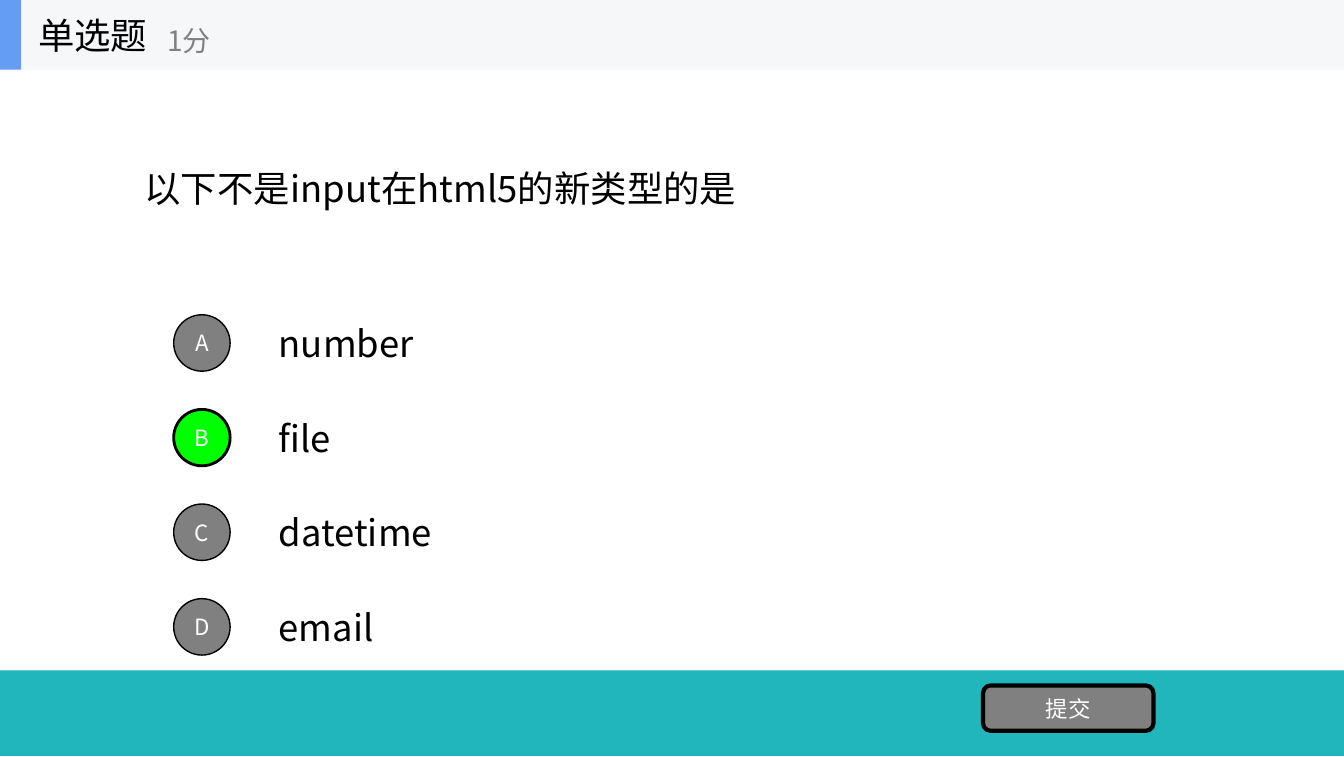
from dataclasses import dataclass

from lxml import etree
from pptx import Presentation
from pptx import util as u
from pptx.dml.color import RGBColor
from pptx.enum import shapes, text
from pptx.oxml.ns import qn


@dataclass(frozen=True)
class Theme:
    font: str = "Noto Sans CJK SC"
    ink: str = "000000"
    white: str = "FFFFFF"
    gray: str = "808080"
    green: str = "00FF00"
    teal: str = "21B6BB"
    pale: str = "F6F7F8"
    blue: str = "639EF4"
    big: int = 26
    mid: int = 20
    small: int = 16


T = Theme()
WIDE, HIGH = 13.33, 7.51
COL, ROW = WIDE / 10, HIGH / 8
HEAD = 0.69
KIND = shapes.MSO_SHAPE


def place(shape, box):
    shape.left, shape.top, shape.width, shape.height = map(u.Inches, box)


def write(shape, words, size=T.big, color=T.ink, align=text.PP_ALIGN.LEFT):
    frame = shape.text_frame
    frame.word_wrap = True
    frame.auto_size = text.MSO_AUTO_SIZE.NONE
    frame.vertical_anchor = text.MSO_ANCHOR.MIDDLE
    para = frame.paragraphs[0]
    para.alignment = align
    run = para.add_run()
    run.text = words
    run.font.size = u.Pt(size)
    run.font.color.rgb = RGBColor.from_string(color)
    run.font.name = T.font
    # East Asian glyphs take their font from a separate element.
    etree.SubElement(run._r.get_or_add_rPr(), qn("a:ea"), typeface=T.font)


def label(slide, box, words, **style):
    write(slide.shapes.add_textbox(*map(u.Inches, box)), words, **style)


def block(slide, kind, box, fill, line=0):
    """Add a filled shape; a line width of 0 leaves it without outline."""
    shape = slide.shapes.add_shape(kind, *map(u.Inches, box))
    shape.shadow.inherit = False
    shape.fill.solid()
    shape.fill.fore_color.rgb = RGBColor.from_string(fill)
    if line:
        shape.line.color.rgb = RGBColor.from_string(T.ink)
        shape.line.width = u.Pt(line)
    else:
        shape.line.fill.background()
    return shape


def button(slide, kind, box, words, fill=T.gray, line=1):
    shape = block(slide, kind, box, fill, line)
    frame = shape.text_frame
    frame.margin_left = frame.margin_right = 0
    frame.margin_top = frame.margin_bottom = 0
    write(shape, words, size=T.small, color=T.white,
          align=text.PP_ALIGN.CENTER)


def header(slide, box, name, score):
    x, y, w, h = box
    block(slide, KIND.RECTANGLE, box, T.pale)
    block(slide, KIND.RECTANGLE, (x, y, 0.21, h), T.blue)
    label(slide, (x + 0.28, y, 2.08, h), name)
    label(slide, (x + 1.56, y + 0.12, 2.5, h - 0.13), score,
          size=T.mid, color=T.gray)


def question(slide, box, words):
    place(slide.shapes.title, box)
    write(slide.shapes.title, words)


def choices(slide, box, items, right):
    """Stack lettered options one grid row apart, marking the right one."""
    x, y, w, h = box
    tall, disc = 0.75 * ROW, 0.56
    for i, (mark, words) in enumerate(items):
        top = y + i * ROW
        label(slide, (x + COL, top, w - COL, tall), words)
        look = dict(fill=T.green, line=2) if mark == right else {}
        spot = (x + 0.39, top + (tall - disc) / 2, disc, disc)
        button(slide, KIND.OVAL, spot, mark, **look)


def footer(slide, box, words):
    x, y, w, h = box
    block(slide, KIND.RECTANGLE, box, T.teal)
    button(slide, KIND.ROUNDED_RECTANGLE, (x + 9.75, y + 0.15, 1.69, 0.45),
           words, line=3)


def main():
    deck = Presentation()
    deck.slide_width, deck.slide_height = u.Inches(WIDE), u.Inches(HIGH)
    slide = deck.slides.add_slide(deck.slide_layouts.get_by_name("Title Only"))
    footer(slide, (0, 6.65, WIDE, 0.85), "提交")
    question(slide, (COL, HEAD, 8 * COL, 2.5 * ROW),
             "以下不是input在html5的新类型的是")
    items = zip("ABCD", ("number", "file", "datetime", "email"))
    choices(slide, (COL, 3.25 * ROW, 8 * COL, 4 * ROW), items, right="B")
    header(slide, (0, 0, WIDE, HEAD), "单选题", "1分")
    deck.save("out.pptx")


if __name__ == "__main__":
    main()
